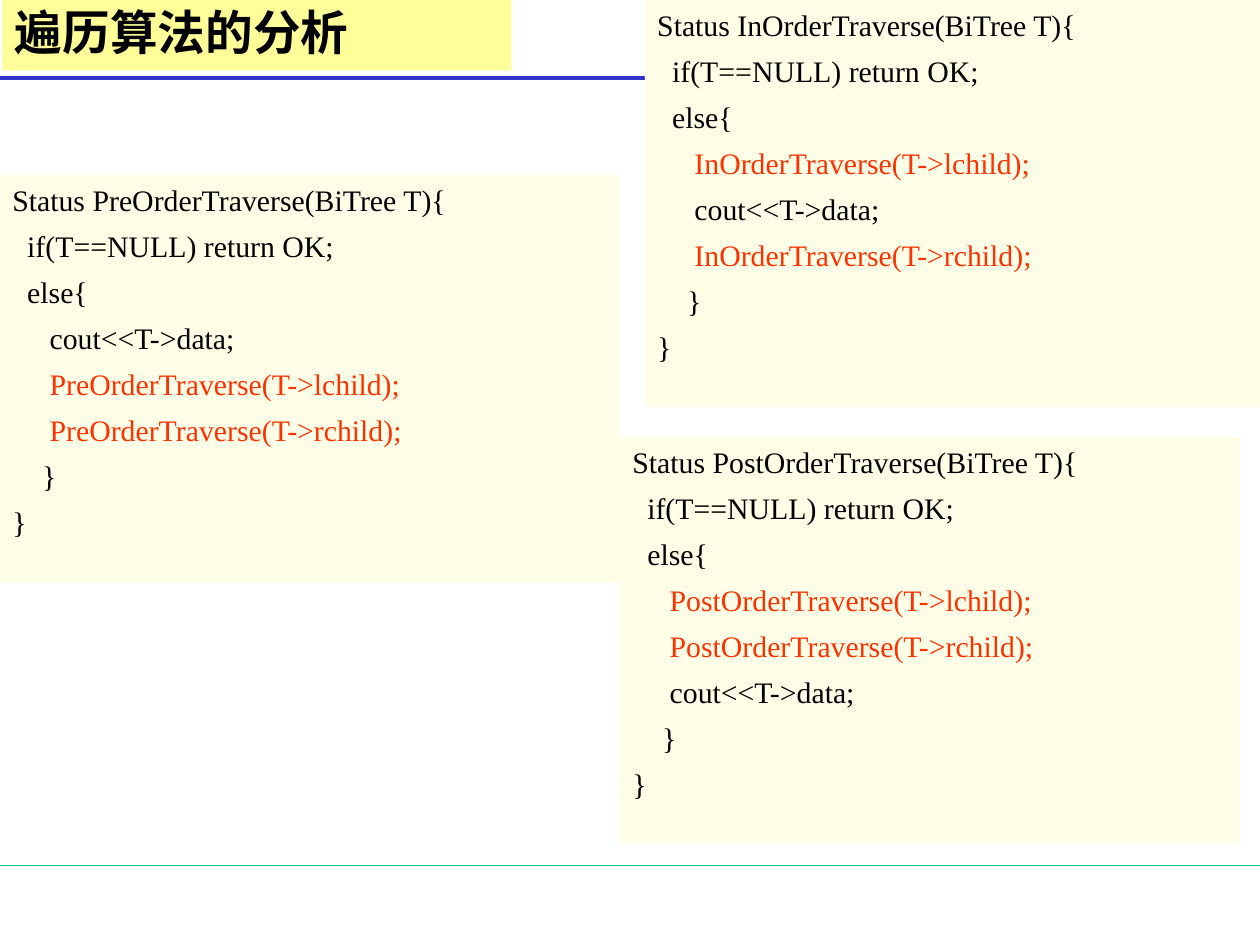
"""Build a slide comparing three recursive binary tree traversals."""
from lxml import etree
from pptx import Presentation
from pptx.dml.color import RGBColor
from pptx.enum.shapes import MSO_CONNECTOR, MSO_SHAPE
from pptx.enum.text import MSO_ANCHOR, MSO_AUTO_SIZE, PP_ALIGN
from pptx.oxml.ns import qn
from pptx.util import Cm, Pt

RECT = MSO_SHAPE.RECTANGLE
STRAIGHT = MSO_CONNECTOR.STRAIGHT
LEFT = PP_ALIGN.LEFT
TOP, MIDDLE = MSO_ANCHOR.TOP, MSO_ANCHOR.MIDDLE
NO_FIT = MSO_AUTO_SIZE.NONE

COLORS = {
    "background": "FEFFFF",
    "title": "FFFF99",
    "code": "FFFFE7",
    "text": "000000",
    "call": "FF3300",
    "rule": "3333CC",
    "footer": "00CC99",
}
CODE_FONT = "Times New Roman"
TITLE_FONT = "Noto Sans CJK SC"
SLIDE_W, SLIDE_H = 25.4, 19.05
CODE_W, CODE_H = 12.5, 8.2
INSET_X, INSET_Y = 0.25, 0.13
VISIT = "cout<<T->data;"
TRAVERSALS = [
    ("PreOrderTraverse", 0, 3.53, (VISIT, "lchild", "rchild")),
    ("PostOrderTraverse", 12.5, 8.81, ("lchild", "rchild", VISIT)),
    ("InOrderTraverse", 13, 0, ("lchild", VISIT, "rchild")),
]


def rgb(name):
    return RGBColor.from_string(COLORS[name])


def fill_solid(fill, color):
    fill.solid()
    fill.fore_color.rgb = rgb(color)


def set_frame(tf, anchor):
    tf.word_wrap = True
    tf.auto_size = NO_FIT
    tf.vertical_anchor = anchor
    tf.margin_left = tf.margin_right = Cm(INSET_X)
    tf.margin_top = tf.margin_bottom = Cm(INSET_Y)


def format_run(r, font, size, color, bold=False):
    r.font.name = font
    r.font.size = Pt(size)
    r.font.bold = bold
    r.font.color.rgb = rgb(color)


def add_rule(slide, y, color, width):
    line = slide.shapes.add_connector(STRAIGHT, 0, Cm(y), Cm(SLIDE_W), Cm(y))
    line.line.color.rgb = rgb(color)
    line.line.width = Pt(width)
    etree.SubElement(line._element.spPr, qn("a:effectLst"))


def set_title(slide, text):
    sp = slide.shapes.title
    sp.left, sp.top, sp.width, sp.height = Cm(0.05), 0, Cm(10.26), Cm(1.42)
    fill_solid(sp.fill, "title")
    tf = sp.text_frame
    tf.text = text
    set_frame(tf, MIDDLE)
    p = tf.paragraphs[0]
    p.alignment = LEFT
    p.line_spacing = 0.9
    p.space_before = Pt(0)
    r = p.runs[0]
    format_run(r, TITLE_FONT, 27.2, "text", True)
    ea = etree.SubElement(r._r.get_or_add_rPr(), qn("a:ea"))
    ea.set("typeface", TITLE_FONT)


def code_lines(name, steps):
    calls = [s if s == VISIT else f"{name}(T->{s});" for s in steps]
    return [
        f"Status {name}(BiTree T){{",
        "  if(T==NULL) return OK;",
        "  else{",
        *["     " + call for call in calls],
        "    }",
        "}",
    ]


def add_code(slide, name, x, y, steps):
    sp = slide.shapes.add_shape(RECT, Cm(x), Cm(y), Cm(CODE_W), Cm(CODE_H))
    sp.shadow.inherit = False
    sp.line.fill.background()
    fill_solid(sp.fill, "code")
    tf = sp.text_frame
    tf.text = "\n".join(code_lines(name, steps))
    set_frame(tf, TOP)
    for i, p in enumerate(tf.paragraphs):
        p.alignment = LEFT
        p.space_before = Pt(5.9 if i else 0)
        color = "call" if p.text.strip().startswith(name) else "text"
        format_run(p.runs[0], CODE_FONT, 17, color)


def main():
    prs = Presentation()
    prs.slide_width, prs.slide_height = Cm(SLIDE_W), Cm(SLIDE_H)
    slide = prs.slides.add_slide(prs.slide_layouts[5])
    fill_solid(slide.background.fill, "background")
    add_rule(slide, 17.45, "footer", 0.75)
    add_rule(slide, 1.57, "rule", 2.25)
    for name, x, y, steps in TRAVERSALS:
        add_code(slide, name, x, y, steps)
    set_title(slide, "遍历算法的分析")
    prs.save("out.pptx")


if __name__ == "__main__":
    main()
